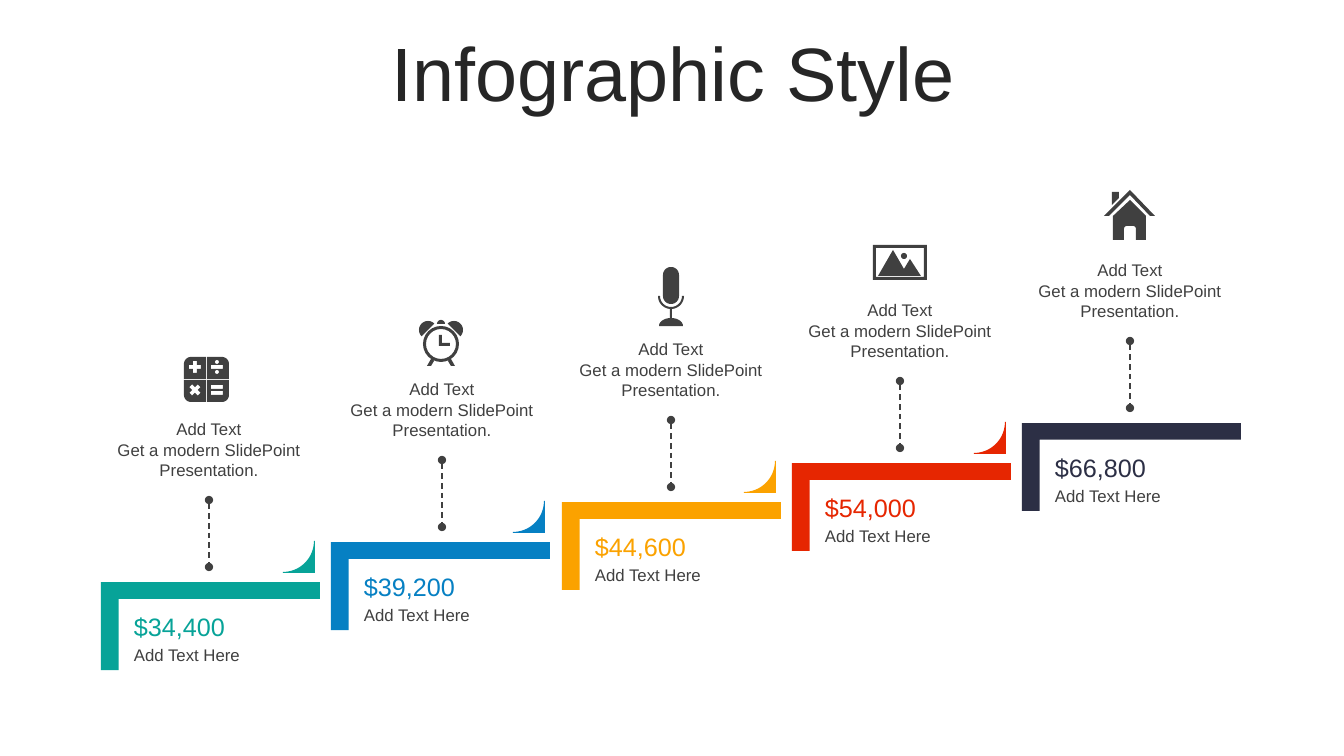
from math import cos, radians, sin

from lxml.etree import SubElement
from pptx import Presentation
from pptx.dml.color import RGBColor
from pptx.enum.dml import MSO_LINE
from pptx.enum.shapes import MSO_CONNECTOR, MSO_SHAPE
from pptx.enum.text import MSO_ANCHOR, PP_ALIGN
from pptx.oxml.ns import qn
from pptx.util import Pt

PX = 914400 / 100.8

TITLE_INK = RGBColor(0x26, 0x26, 0x26)
INK = RGBColor(0x40, 0x40, 0x40)
TEAL = RGBColor(0x07, 0xA3, 0x98)
BLUE = RGBColor(0x06, 0x80, 0xC3)
AMBER = RGBColor(0xFB, 0xA2, 0x00)
RED = RGBColor(0xE6, 0x26, 0x01)
NAVY = RGBColor(0x2C, 0x2F, 0x45)

TITLE_FONT = {"name": "Arial", "size": Pt(54)}
PRICE_FONT = {"name": "Arial", "size": Pt(18)}
BODY_FONT = {"name": "Arial", "size": Pt(12)}


def emu(px):
    return round(px * PX)


# Outlines, as lists of points in px
def arc(cx, cy, rx, start, end, ry=None):
    ry = ry or rx
    count = 24
    angles = [radians(start + (end - start) * i / count) for i in range(count + 1)]
    return [(cx + rx * cos(a), cy + ry * sin(a)) for a in angles]


def disc(cx, cy, radius):
    return arc(cx, cy, radius, 0, 360)


def bar(left, top, right, bottom):
    return [(left, top), (right, top), (right, bottom), (left, bottom)]


def cross(cx, cy, turn):
    corners = [(-2, -6), (2, -6), (2, -2), (6, -2), (6, 2), (2, 2),
               (2, 6), (-2, 6), (-2, 2), (-6, 2), (-6, -2), (-2, -2)]
    c, s = cos(radians(turn)), sin(radians(turn))
    return [(cx + x * c - y * s, cy + x * s + y * c) for x, y in corners]


def mirror(outline, width):
    return [(width - x, y) for x, y in outline]


def calculator():
    key = arc(7, 7, 7, 180, 270) + [(22, 0), (22, 22), (0, 22)]
    top_keys = [key, mirror(key, 45)]
    bottom_keys = [[(x, 45 - y) for x, y in outline] for outline in top_keys]
    signs = [cross(11, 10, 0), cross(11, 33, 45),
             disc(33, 5, 2), bar(27, 8, 39, 12), disc(33, 15, 2),
             bar(27, 28, 39, 32), bar(27, 34, 39, 38)]
    return top_keys + bottom_keys + signs


def alarm_clock():
    bell = arc(10, 10, 9, 135, 315)
    leg = [(13, 46), (9, 46), (13, 39), (16, 41)]
    hands = [(21, 15), (24, 15), (24, 23), (32, 23), (32, 26), (21, 26)]
    return [disc(23, 24, 18), disc(23, 24, 15), hands, arc(23, 4, 4, 180, 360),
            bell, mirror(bell, 46), leg, mirror(leg, 46)]


def microphone():
    capsule = arc(13, 8, 8, 180, 360) + arc(13, 29, 8, 0, 180)
    cradle = arc(13, 29, 13, 0, 180) + arc(13, 29, 11, 180, 0)
    base = arc(13, 59, 12, 180, 360, ry=8)
    return [capsule, cradle, bar(12, 42, 14, 51), base]


def landscape():
    mountains = [(20, 5), (31, 24), (37, 14), (48, 31), (5, 31)]
    return [bar(0, 0, 54, 35), bar(3, 3, 51, 32), disc(31, 11, 3), mountains]


def house():
    door = arc(29, 39, 3, 360, 270) + arc(23, 39, 3, 270, 180)
    walls = ([(26, 10), (42, 26), (42, 50), (32, 50)] + door
             + [(20, 50), (9, 50), (9, 26)])
    chimney = [(8, 2), (15, 2), (15, 8), (8, 15)]
    roof = [(26, 0), (51, 26), (46, 26), (26, 5), (5, 26), (0, 26)]
    return [walls, chimney, roof]


# Price, colour, centre of callout, icon outlines, icon offset from centre and step top
STEPS = [
    ("$34,400", TEAL, 209, calculator(), (-25, -225)),
    ("$39,200", BLUE, 442, alarm_clock(), (-24, -222)),
    ("$44,600", AMBER, 671, microphone(), (-13, -235)),
    ("$54,000", RED, 900, landscape(), (-27, -218)),
    ("$66,800", NAVY, 1130, house(), (-26, -233)),
]


def paint(shape, color):
    shape.shadow.inherit = False
    shape.fill.solid()
    shape.fill.fore_color.rgb = color
    shape.line.fill.background()


def add_outlines(slide, left, top, outlines, color):
    contours = [[(emu(left + x), emu(top + y)) for x, y in outline]
                for outline in outlines]
    builder = slide.shapes.build_freeform(*contours[0][0], scale=1.0)
    builder.add_line_segments(contours[0][1:], close=True)
    for contour in contours[1:]:
        builder.move_to(*contour[0])
        builder.add_line_segments(contour[1:], close=True)
    paint(builder.convert_to_shape(), color)


def add_text(slide, box, text, font, color, align=PP_ALIGN.LEFT, anchor=MSO_ANCHOR.TOP):
    frame = slide.shapes.add_textbox(*map(emu, box)).text_frame
    frame.word_wrap = True
    frame.vertical_anchor = anchor
    paragraph = frame.paragraphs[0]
    paragraph.alignment = align
    run = paragraph.add_run()
    run.text = text
    for attribute, value in font.items():
        setattr(run.font, attribute, value)
    run.font.color.rgb = color
    return paragraph


def draw_title(slide, box):
    title = add_text(slide, box, "Infographic Style", TITLE_FONT, TITLE_INK,
                     PP_ALIGN.CENTER, MSO_ANCHOR.MIDDLE)
    title.line_spacing = 0.9


def draw_step(slide, left, top, price, color, has_curl):
    # L-shaped bracket
    bracket = slide.shapes.add_shape(
        MSO_SHAPE.CORNER, emu(left), emu(top), emu(219), emu(88))
    bracket.adjustments[0] = 0.19
    bracket.adjustments[1] = 0.2
    bracket.rotation = 180
    bracket.element.spPr.find(qn("a:xfrm")).set("flipH", "1")
    paint(bracket, color)
    # Curl leading to the next step
    if has_curl:
        curl = [(31, 0), (32, 0), (32, 32), (0, 32)] + arc(0, 0, 31, 90, 0)
        add_outlines(slide, left + 182, top - 41, [curl], color)
    # Price and caption
    add_text(slide, (left + 23, top + 24, 153, 40), price, PRICE_FONT, color,
             anchor=MSO_ANCHOR.MIDDLE)
    add_text(slide, (left + 23, top + 58, 152, 30), "Add Text Here", BODY_FONT, INK)


def draw_callout(slide, center, step_top, icon, icon_offset):
    # Icon
    add_outlines(slide, center + icon_offset[0], step_top + icon_offset[1], icon, INK)
    # Heading and description
    add_text(slide, (center - 120, step_top - 168, 240, 30), "Add Text",
             BODY_FONT, INK, PP_ALIGN.CENTER)
    add_text(slide, (center - 120, step_top - 147, 240, 50),
             "Get a modern SlidePoint Presentation.", BODY_FONT, INK, PP_ALIGN.CENTER)
    # Dashed pointer with round ends
    pointer = slide.shapes.add_connector(
        MSO_CONNECTOR.STRAIGHT, emu(center), emu(step_top - 82),
        emu(center), emu(step_top - 15))
    pointer.line.color.rgb = INK
    pointer.line.width = Pt(1)
    pointer.line.dash_style = MSO_LINE.DASH
    properties = pointer.element.spPr
    for end in ("a:headEnd", "a:tailEnd"):
        SubElement(properties.find(qn("a:ln")), qn(end), type="oval")
    SubElement(properties, qn("a:effectLst"))


def main():
    prs = Presentation()
    prs.slide_width, prs.slide_height = emu(1344), emu(756)
    slide = prs.slides.add_slide(prs.slide_layouts[6])
    draw_title(slide, (35, 37, 1276, 80))
    last = len(STEPS) - 1
    for i, (price, color, center, icon, icon_offset) in enumerate(STEPS):
        left = round(101 + 921 * i / last)
        top = round(582 - 159 * i / last)
        draw_step(slide, left, top, price, color, has_curl=i < last)
        draw_callout(slide, center, top, icon, icon_offset)
    prs.save("out.pptx")


if __name__ == "__main__":
    main()
